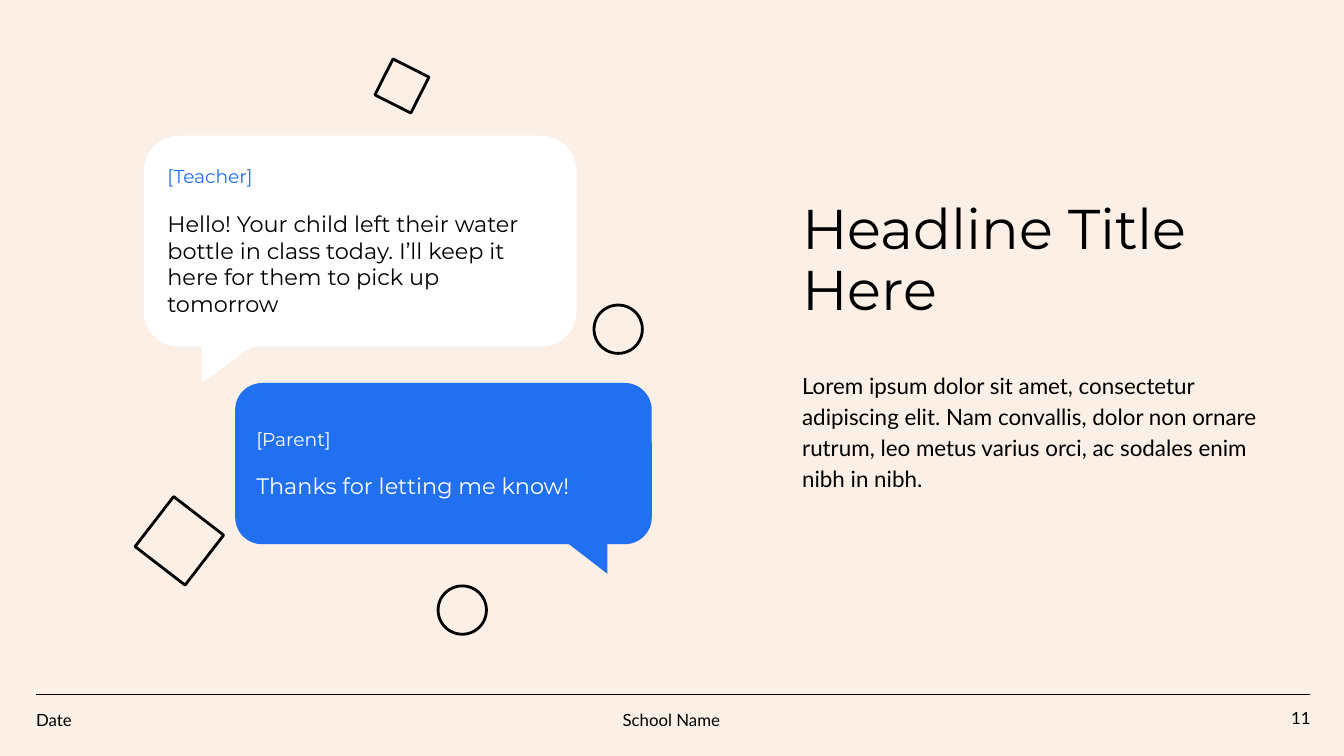
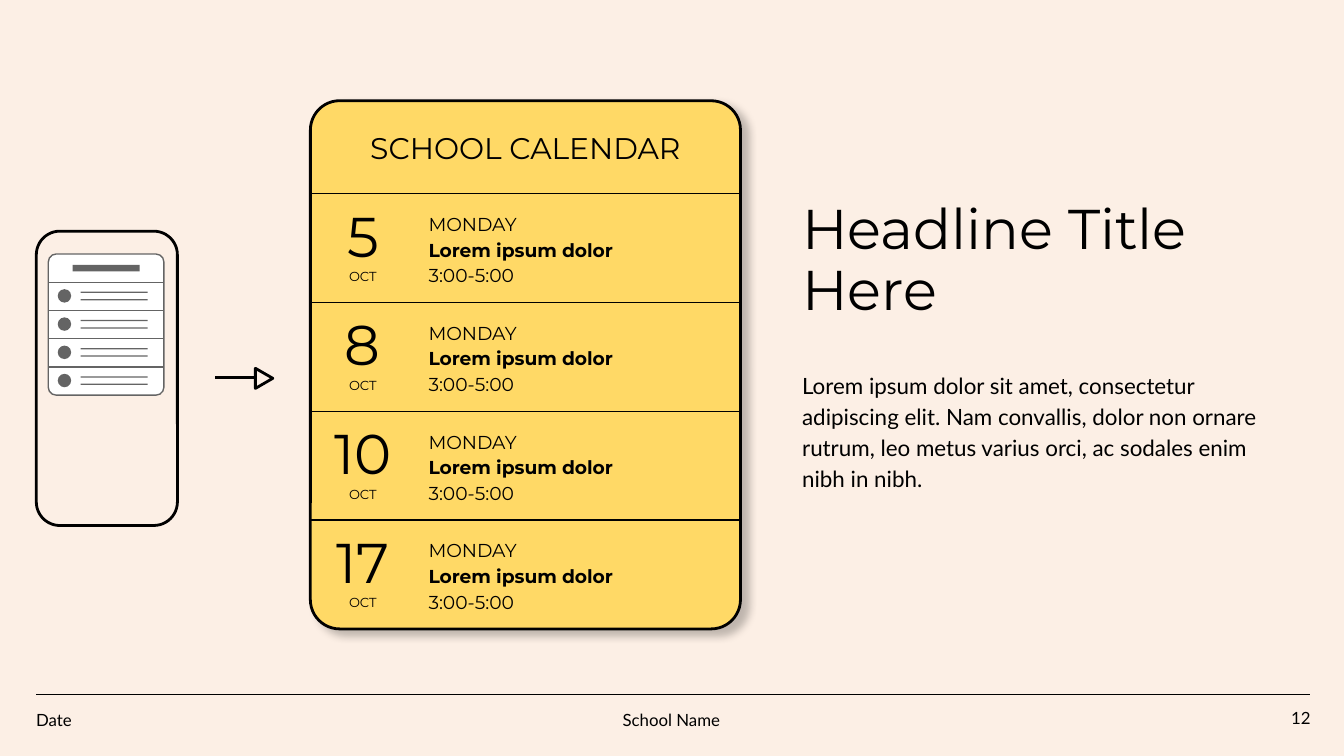
from dataclasses import dataclass
from typing import NamedTuple, Optional

from lxml import etree
from pptx import Presentation
from pptx import slide as s
from pptx import util as u
from pptx.dml import color
from pptx.enum import shapes, text
from pptx.oxml import ns
from pptx.shapes import autoshape, connector
from pptx.text import text as t

KIND = shapes.MSO_SHAPE
ALIGN = text.PP_ALIGN
ANCHOR = text.MSO_ANCHOR

WIDTH, HEIGHT = u.Inches(10), u.Inches(5.625)
COLUMN, ROW = WIDTH / 100, HEIGHT / 56.25


@dataclass(frozen=True)
class Theme:
    paper: str = "FCEFE5"
    ink: str = "000000"
    white: str = "FFFFFF"
    blue: str = "2170F2"
    yellow: str = "FFD966"
    grey: str = "646464"
    display: str = "Montserrat"
    reading: str = "Lato"
    headline: float = 30
    heading: float = 16
    body: float = 12
    label: float = 10
    footer: float = 9
    month: float = 7
    thin: float = 0.75
    thick: float = 1.5


THEME = Theme()


class Area(NamedTuple):
    left: float
    top: float
    width: float
    height: float

    def lengths(self) -> tuple[int, int, int, int]:
        return (round(self.left * COLUMN), round(self.top * ROW),
                round(self.width * COLUMN), round(self.height * ROW))


class Bubble(NamedTuple):
    area: Area
    tail: Area
    tail_flipped: bool
    fill: str
    speaker: str
    speaker_ink: str
    message: str
    message_ink: str


class Outline(NamedTuple):
    kind: KIND
    area: Area
    turn: float = 0


class Event(NamedTuple):
    day: str
    month: str = "OCT"
    weekday: str = "MONDAY"
    name: str = "Lorem ipsum dolor"
    hours: str = "3:00-5:00"


BUBBLES = [
    Bubble(Area(10.7, 10.1, 32.2, 15.7), Area(15, 25.1, 4.7, 3.4), True, THEME.white,
           "[Teacher]", THEME.blue,
           "Hello! Your child left their water bottle in class today. "
           "I’ll keep it here for them to pick up tomorrow", THEME.ink),
    Bubble(Area(17.5, 28.5, 31, 12), Area(41.7, 40, 3.5, 2.7), False, THEME.blue,
           "[Parent]", THEME.white, "Thanks for letting me know!", THEME.white),
]
OUTLINES = [
    Outline(KIND.OVAL, Area(32.6, 43.6, 3.6, 3.6)),
    Outline(KIND.OVAL, Area(44.2, 22.7, 3.6, 3.6)),
    Outline(KIND.RECTANGLE, Area(11, 37.9, 4.7, 4.7), 37.6),
    Outline(KIND.RECTANGLE, Area(28.4, 4.9, 3, 3), 116.8),
]
EVENTS = [Event("5"), Event("8"), Event("10"), Event("17")]


def add_figure(page: s.Slide, kind: KIND, area: Area, fill: Optional[str] = None,
               line: Optional[str] = None, weight: float = THEME.thick, turn: float = 0,
               corner: Optional[float] = None, flipped: bool = False) -> autoshape.Shape:
    figure = page.shapes.add_shape(kind, *area.lengths())
    figure.shadow.inherit = False
    figure.rotation = turn
    if corner is not None:
        figure.adjustments[0] = corner
    if flipped:
        figure.element.spPr.get_or_add_xfrm().set("flipH", "1")
    if fill:
        figure.fill.solid()
        figure.fill.fore_color.rgb = color.RGBColor.from_string(fill)
    else:
        figure.fill.background()
    if line:
        figure.line.color.rgb = color.RGBColor.from_string(line)
        figure.line.width = u.Pt(weight)
    else:
        figure.line.fill.background()
    return figure


def add_rule(page: s.Slide, left: float, right: float, level: float,
             ink: str = THEME.ink, weight: float = THEME.thin) -> connector.Connector:
    rule = page.shapes.add_connector(
        shapes.MSO_CONNECTOR.STRAIGHT, round(left * COLUMN), round(level * ROW),
        round(right * COLUMN), round(level * ROW))
    rule.line.color.rgb = color.RGBColor.from_string(ink)
    rule.line.width = u.Pt(weight)
    etree.SubElement(rule.element.spPr, ns.qn("a:effectLst"))
    return rule


def prepare_frame(frame: t.TextFrame, anchor: ANCHOR) -> t.TextFrame:
    frame.word_wrap = True
    frame.vertical_anchor = anchor
    frame.margin_left = frame.margin_right = round(COLUMN)
    frame.margin_top = frame.margin_bottom = round(ROW)
    return frame


def add_box(page: s.Slide, area: Area, anchor: ANCHOR = ANCHOR.MIDDLE) -> t.TextFrame:
    return prepare_frame(page.shapes.add_textbox(*area.lengths()).text_frame, anchor)


def write(frame: t.TextFrame, words: str, *, size: float = THEME.body,
          font: str = THEME.display, ink: str = THEME.ink, bold: bool = False,
          align: ALIGN = ALIGN.LEFT, spacing: float = 1, after: float = 0) -> None:
    para = frame.paragraphs[0]
    if para.runs:
        para = frame.add_paragraph()
    para.alignment = align
    para.line_spacing = spacing
    para.space_after = u.Pt(after)
    span = para.add_run()
    span.text = words
    span.font.size = u.Pt(size)
    span.font.name = font
    span.font.bold = bold
    span.font.color.rgb = color.RGBColor.from_string(ink)


def add_page(deck: Presentation, number: int) -> s.Slide:
    page = deck.slides.add_slide(deck.slide_layouts[6])
    page.background.fill.solid()
    page.background.fill.fore_color.rgb = color.RGBColor.from_string(THEME.paper)
    add_rule(page, 2.7, 97.5, 51.7)
    footer = dict(size=THEME.footer, font=THEME.reading)
    write(add_box(page, Area(92.5, 51.7, 6, 3.4)), str(number), align=ALIGN.RIGHT, **footer)
    for left, words, align in ((1.7, "Date", ALIGN.LEFT),
                               (41.8, "School Name", ALIGN.CENTER)):
        write(add_box(page, Area(left, 51.7, 16.3, 3.4), ANCHOR.TOP), words,
              align=align, spacing=1.15, after=12, **footer)
    write(add_box(page, Area(58.7, 15, 36, 10), ANCHOR.BOTTOM), "Headline Title Here",
          size=THEME.headline, spacing=0.9)
    write(add_box(page, Area(58.7, 26.4, 36, 12.4), ANCHOR.TOP),
          "Lorem ipsum dolor sit amet, consectetur adipiscing elit. Nam convallis, "
          "dolor non ornare rutrum, leo metus varius orci, ac sodales enim nibh in nibh.",
          font=THEME.reading, spacing=1.15, after=12)
    return page


def draw_bubble(page: s.Slide, bubble: Bubble) -> None:
    body = add_figure(page, KIND.ROUNDED_RECTANGLE, bubble.area, bubble.fill, corner=0.167)
    frame = prepare_frame(body.text_frame, ANCHOR.MIDDLE)
    write(frame, bubble.speaker, size=THEME.label, ink=bubble.speaker_ink, after=12)
    write(frame, bubble.message, ink=bubble.message_ink)
    add_figure(page, KIND.RIGHT_TRIANGLE, bubble.tail, bubble.fill, turn=180,
               flipped=bubble.tail_flipped)


def cast_shadow(figure: autoshape.Shape) -> None:
    effects = figure.element.spPr.find(ns.qn("a:effectLst"))
    shadow = etree.SubElement(effects, ns.qn("a:outerShdw"), blurRad=str(u.Pt(4.5)),
                              dist=str(u.Pt(4.5)), dir=str(38 * 60000),
                              algn="bl", rotWithShape="0")
    tint = etree.SubElement(shadow, ns.qn("a:srgbClr"), val=THEME.ink)
    etree.SubElement(tint, ns.qn("a:alpha"), val="24000")


def draw_calendar(page: s.Slide, area: Area, events: list[Event]) -> None:
    header, pitch, day_width = 6.9, 8.1, 7.8
    right = area.left + area.width
    card = add_figure(page, KIND.ROUNDED_RECTANGLE, area, THEME.yellow, THEME.ink,
                      corner=0.068)
    cast_shadow(card)
    write(add_box(page, Area(area.left, area.top + 1.8, area.width, 3.4)),
          "SCHOOL CALENDAR", size=THEME.heading, align=ALIGN.CENTER)
    for index, event in enumerate(events):
        top = area.top + header + index * pitch
        add_rule(page, area.left, right, top)
        date = add_box(page, Area(area.left, top, day_width, 7.3))
        write(date, event.day, size=THEME.headline, align=ALIGN.CENTER)
        write(date, event.month, size=THEME.month, align=ALIGN.CENTER)
        details = add_box(page, Area(area.left + day_width, top,
                                     area.width - day_width, pitch))
        for words in (event.weekday, event.name, event.hours):
            write(details, words, size=THEME.label, bold=words == event.name, spacing=1.15)


def draw_phone(page: s.Slide, area: Area, entries: int) -> None:
    add_figure(page, KIND.ROUNDED_RECTANGLE, area, line=THEME.ink, corner=0.167)
    screen = Area(area.left + 0.9, area.top + 1.7, 8.6, 10.5)
    add_figure(page, KIND.ROUNDED_RECTANGLE, screen, THEME.white, THEME.grey,
               THEME.thin, corner=0.068)
    add_figure(page, KIND.RECTANGLE, Area(screen.left + 1.8, screen.top + 0.8, 5, 0.5),
               THEME.grey)
    pitch = screen.height / (entries + 1)
    for index in range(1, entries + 1):
        top = screen.top + index * pitch
        add_rule(page, screen.left, screen.left + screen.width, top, THEME.grey)
        add_figure(page, KIND.OVAL, Area(screen.left + 0.7, top + 0.52, 1, 1), THEME.grey)
        for drop in (0.7, 1.25):
            add_figure(page, KIND.RECTANGLE, Area(screen.left + 2.4, top + drop, 5, 0.1),
                       THEME.grey)


def draw_arrow(page: s.Slide) -> None:
    add_rule(page, 16, 19, 28.1, weight=THEME.thick)
    add_figure(page, KIND.ISOSCELES_TRIANGLE, Area(18.9, 27.5, 1.5, 1.3),
               line=THEME.ink, turn=90)


def build_messages(deck: Presentation) -> None:
    page = add_page(deck, 11)
    for bubble in BUBBLES:
        draw_bubble(page, bubble)
    for outline in OUTLINES:
        add_figure(page, outline.kind, outline.area, line=THEME.ink, turn=outline.turn)


def build_schedule(deck: Presentation) -> None:
    page = add_page(deck, 12)
    draw_phone(page, Area(2.7, 17.2, 10.5, 21.9), len(EVENTS))
    draw_arrow(page)
    draw_calendar(page, Area(23.1, 7.5, 32, 39.3), EVENTS)


def main() -> None:
    deck = Presentation()
    deck.slide_width, deck.slide_height = WIDTH, HEIGHT
    build_messages(deck)
    build_schedule(deck)
    deck.save("out.pptx")


if __name__ == "__main__":
    main()
